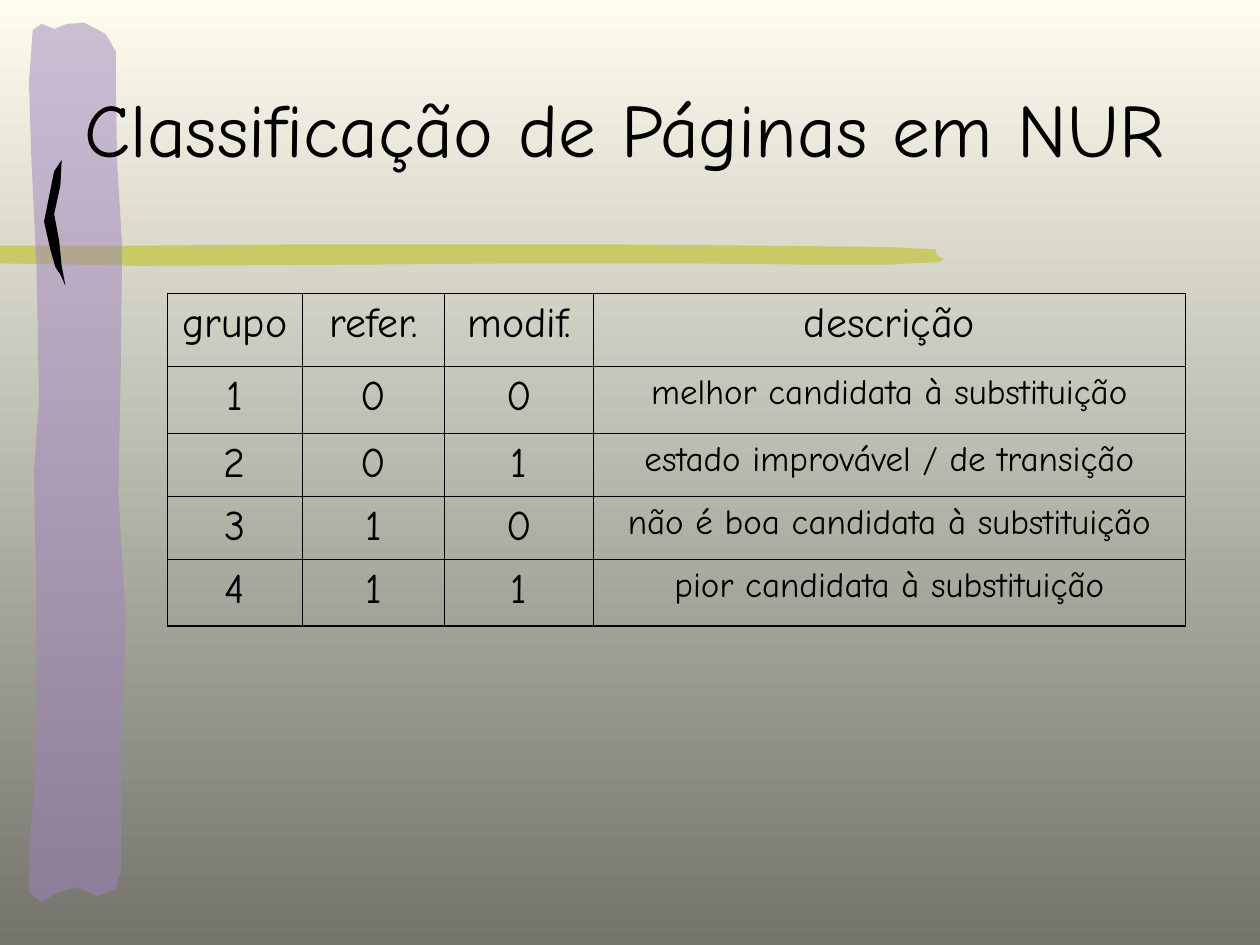
from dataclasses import dataclass

from lxml.etree import SubElement
from pptx import Presentation
from pptx.dml.color import RGBColor
from pptx.enum.text import MSO_ANCHOR as Anchor, MSO_AUTO_SIZE as AutoSize, PP_ALIGN as Align
from pptx.oxml import parse_xml
from pptx.oxml.ns import nsdecls, qn
from pptx.slide import Slide
from pptx.table import _Cell as Cell
from pptx.util import Pt

PX = 9144  # 100 px to the inch
FONT = "Comic Neue"
BLACK = "000000"
THIN, THICK = 0.45, 1.08


@dataclass
class Brush:
    color: str
    points: list[tuple[int, int]]
    opacity: int = 100


STROKE = Brush("C6CB65", [
    (601, 195), (702, 196), (743, 198), (743, 202), (749, 206), (745, 208),
    (706, 210), (635, 210), (541, 209), (414, 209), (298, 210), (111, 211),
    (-2, 209), (-3, 195), (111, 195), (232, 194), (391, 194), (489, 194),
])
BAND = Brush("9F83BD", [
    (29, 561), (29, 481), (27, 375), (31, 317), (29, 210), (25, 127), (23, 65),
    (26, 24), (33, 19), (43, 23), (53, 19), (67, 18), (84, 27), (92, 41),
    (92, 71), (93, 129), (97, 195), (96, 286), (94, 391), (100, 495), (96, 583),
    (96, 690), (92, 706), (77, 711), (60, 704), (44, 709), (33, 716), (23, 708),
    (23, 676), (27, 629),
], opacity=50)
MARK = Brush(BLACK, [
    (49, 127), (48, 147), (43, 170), (47, 191), (49, 211), (52, 227),
    (48, 218), (44, 212), (40, 198), (35, 176), (39, 156), (43, 136),
])

COLUMNS = [107, 113, 118, 470]
ROWS = [58, 53, 50, 50, 53]
CELLS = [
    ["grupo", "refer.", "modif.", "descrição"],
    ["1", "0", "0", "melhor candidata à substituição"],
    ["2", "0", "1", "estado improvável / de transição"],
    ["3", "1", "0", "não é boa candidata à substituição"],
    ["4", "1", "1", "pior candidata à substituição"],
]


def px(*values: int) -> list[int]:
    return [v * PX for v in values]


def rgb(color: str) -> RGBColor:
    return RGBColor.from_string(color)


def draw_brush(s: Slide, brush: Brush) -> None:
    start, *rest = brush.points
    builder = s.shapes.build_freeform(*start, scale=PX)
    builder.add_line_segments(rest, close=True)
    sp = builder.convert_to_shape()
    sp.shadow.inherit = False
    sp.line.fill.background()
    sp.fill.solid()
    sp.fill.fore_color.rgb = rgb(brush.color)
    if brush.opacity < 100:
        color = sp._element.spPr.find(qn("a:solidFill"))[0]
        SubElement(color, qn("a:alpha"), val=str(brush.opacity * 1000))


def set_borders(cell: Cell, widths: dict[str, float]) -> None:
    tc_pr = cell._tc.get_or_add_tcPr()
    for i, (side, width) in enumerate(widths.items()):
        tc_pr.insert(i, parse_xml(
            f'<a:ln{side} {nsdecls("a")} w="{Pt(width)}"><a:solidFill>'
            f'<a:srgbClr val="{BLACK}"/></a:solidFill></a:ln{side}>'))


def add_run(p, text: str, size: int) -> None:
    r = p.add_run()
    r.text = text
    r.font.size = Pt(size)
    r.font.name = FONT
    r.font.color.rgb = rgb(BLACK)


def draw_background(s: Slide) -> None:
    fill = s.background.fill
    fill.gradient()
    fill.gradient_angle = 270
    for stop, color in zip(fill.gradient_stops, ("FDFCED", "74746D")):
        stop.color.rgb = rgb(color)


def draw_title(s: Slide) -> None:
    title = s.shapes.title
    title.left, title.top, title.width, title.height = px(57, 60, 940, 82)
    tf = title.text_frame
    tf.word_wrap = True
    tf.auto_size = AutoSize.SHAPE_TO_FIT_TEXT
    tf.vertical_anchor = Anchor.MIDDLE
    p = tf.paragraphs[0]
    p.alignment = Align.LEFT
    add_run(p, "Classificação de Páginas em NUR", 43)
    s.shapes._spTree.append(title._element)  # in front of the brush strokes


def draw_table(s: Slide) -> None:
    last_row, last_col = len(ROWS) - 1, len(COLUMNS) - 1
    box = px(133, 233, sum(COLUMNS), sum(ROWS))
    table = s.shapes.add_table(len(ROWS), len(COLUMNS), *box).table
    table.first_row = table.horz_banding = False
    for column, width in zip(table.columns, px(*COLUMNS)):
        column.width = width
    for row, height in zip(table.rows, px(*ROWS)):
        row.height = height
    for i, texts in enumerate(CELLS):
        for j, text in enumerate(texts):
            cell = table.cell(i, j)
            cell.fill.background()
            outer = {"L": j == 0, "R": j == last_col, "T": i == 0, "B": i == last_row}
            set_borders(cell, {side: THICK if edge else THIN for side, edge in outer.items()})
            p = cell.text_frame.paragraphs[0]
            p.alignment = Align.CENTER
            add_run(p, text, 20 if i > 0 and j == last_col else 24)


def main() -> None:
    prs = Presentation()
    prs.slide_width, prs.slide_height = px(1000, 750)
    s = prs.slides.add_slide(prs.slide_layouts[5])
    draw_background(s)
    for brush in (STROKE, BAND, MARK):
        draw_brush(s, brush)
    draw_title(s)
    draw_table(s)
    prs.save("out.pptx")


if __name__ == "__main__":
    main()
